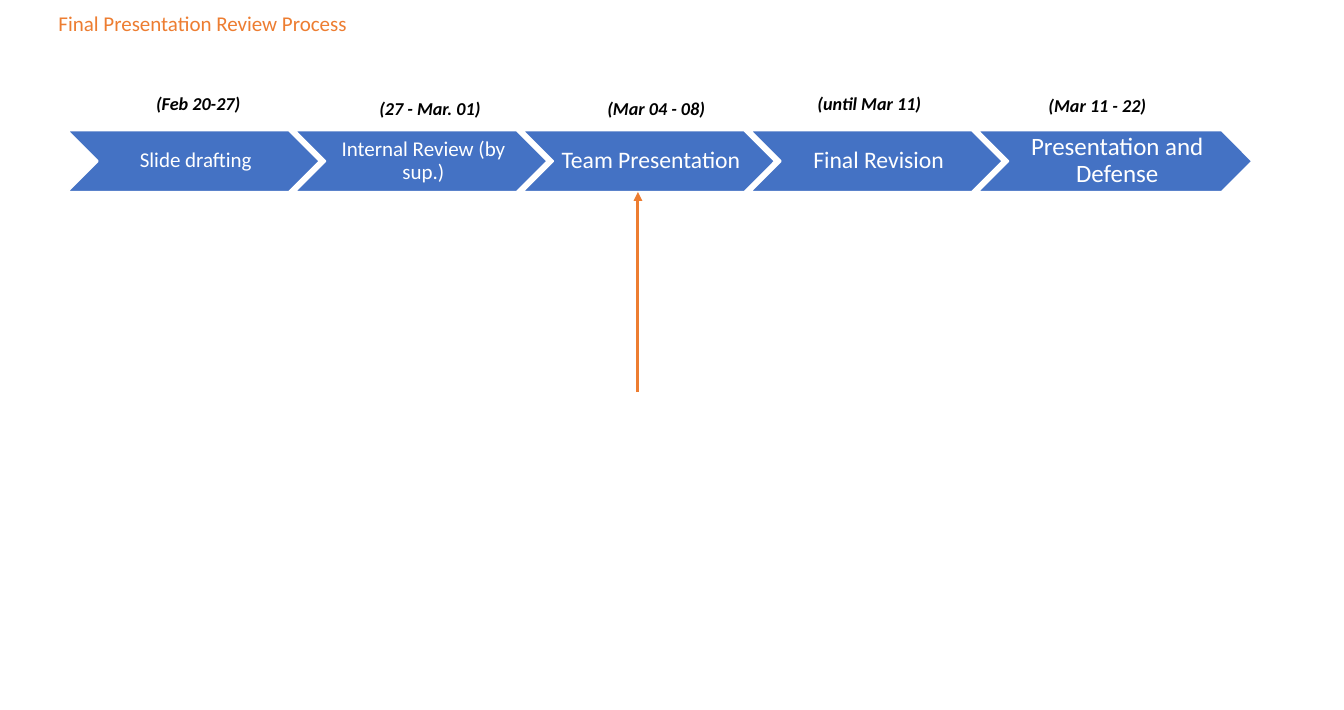
"""Build the final presentation review process slide."""
import pptx
import pptx.dml.color
import pptx.enum.shapes
import pptx.enum.text
import pptx.oxml.ns
import pptx.util
from lxml import etree

Cm = pptx.util.Cm
COLORS = {"accent": "ED7D31", "step": "4472C4", "white": "FFFFFF", "black": "000000"}
FONT = "Calibri"
STEP_LEFT, STEP_TOP, STEP_PITCH, STEP_HEIGHT = 1.8, 3.5, 6.11, 1.65
STEPS = [
    ("Slide drafting", 16, 6.78, "(Feb 20-27)", (3.94, 2.36, 2.97)),
    ("Internal Review (by sup.)", 16, 6.78, "(27 - Mar. 01)", (9.93, 2.49, 3.56)),
    ("Team Presentation", 18, 6.78, "(Mar 04 - 08)", (16.05, 2.49, 3.28)),
    ("Final Revision", 18, 6.78, "(until Mar 11)", (21.69, 2.36, 3.56)),
    ("Presentation and Defense", 19, 7.37, "(Mar 11 - 22)", (27.89, 2.41, 3.56)),
]


def rgb(name):
    return pptx.dml.color.RGBColor.from_string(COLORS[name])


def write(frame, text, size, color, emphasis=None):
    """Put one styled run into the frame and return its paragraph."""
    frame.word_wrap = True
    paragraph = frame.paragraphs[0]
    run = paragraph.add_run()
    run.text = text
    font = run.font
    font.name, font.size = FONT, pptx.util.Pt(size)
    font.bold = font.italic = emphasis
    font.color.rgb = rgb(color)
    return paragraph


def add_title(slide, text):
    title = slide.shapes.add_textbox(Cm(1.32), Cm(0.05), Cm(27.43), Cm(1.22))
    title.text_frame.vertical_anchor = pptx.enum.text.MSO_ANCHOR.MIDDLE
    write(title.text_frame, text, 16, "accent").line_spacing = 0.9


def add_step(slide, left, width, text, size):
    step = slide.shapes.add_shape(
        pptx.enum.shapes.MSO_SHAPE.CHEVRON,
        Cm(left), Cm(STEP_TOP), Cm(width), Cm(STEP_HEIGHT))
    step.shadow.inherit = False
    step.fill.solid()
    step.fill.fore_color.rgb = rgb("step")
    step.line.color.rgb = rgb("white")
    step.line.width = pptx.util.Pt(1.5)
    frame = step.text_frame
    frame.vertical_anchor = pptx.enum.text.MSO_ANCHOR.MIDDLE
    frame.margin_left = Cm(0.18 if size == 16 else 0.2)
    margin = Cm(0.05 if size == 16 else 0.08)
    frame.margin_right = frame.margin_top = frame.margin_bottom = margin
    label = write(frame, text, size, "white")
    label.alignment = pptx.enum.text.PP_ALIGN.CENTER
    label.line_spacing = 0.9


def add_date(slide, left, top, width, text):
    date = slide.shapes.add_textbox(Cm(left), Cm(top), Cm(width), Cm(0.84))
    write(date.text_frame, text, 13.8, "black", True)
    date.text_frame.auto_size = pptx.enum.text.MSO_AUTO_SIZE.SHAPE_TO_FIT_TEXT


def add_arrow(slide, x, start, end):
    arrow = slide.shapes.add_connector(
        pptx.enum.shapes.MSO_CONNECTOR.STRAIGHT, Cm(x), Cm(start), Cm(x), Cm(end))
    arrow.line.color.rgb = rgb("accent")
    arrow.line.width = pptx.util.Pt(2.25)
    qn = pptx.oxml.ns.qn
    etree.SubElement(arrow.line._get_or_add_ln(), qn("a:tailEnd"), type="triangle")
    etree.SubElement(arrow._element.spPr, qn("a:effectLst"))


def main():
    deck = pptx.Presentation()
    deck.slide_width, deck.slide_height = Cm(36.07), Cm(19.05)
    slide = deck.slides.add_slide(deck.slide_layouts[6])
    add_title(slide, "Final Presentation Review Process")
    for index, (name, size, width, _, _) in enumerate(STEPS):
        add_step(slide, STEP_LEFT + index * STEP_PITCH, width, name, size)
    for _, _, _, date, place in STEPS:
        add_date(slide, *place, date)
    add_arrow(slide, 17.12, 10.52, STEP_TOP + STEP_HEIGHT)
    deck.save("out.pptx")


if __name__ == "__main__":
    main()
